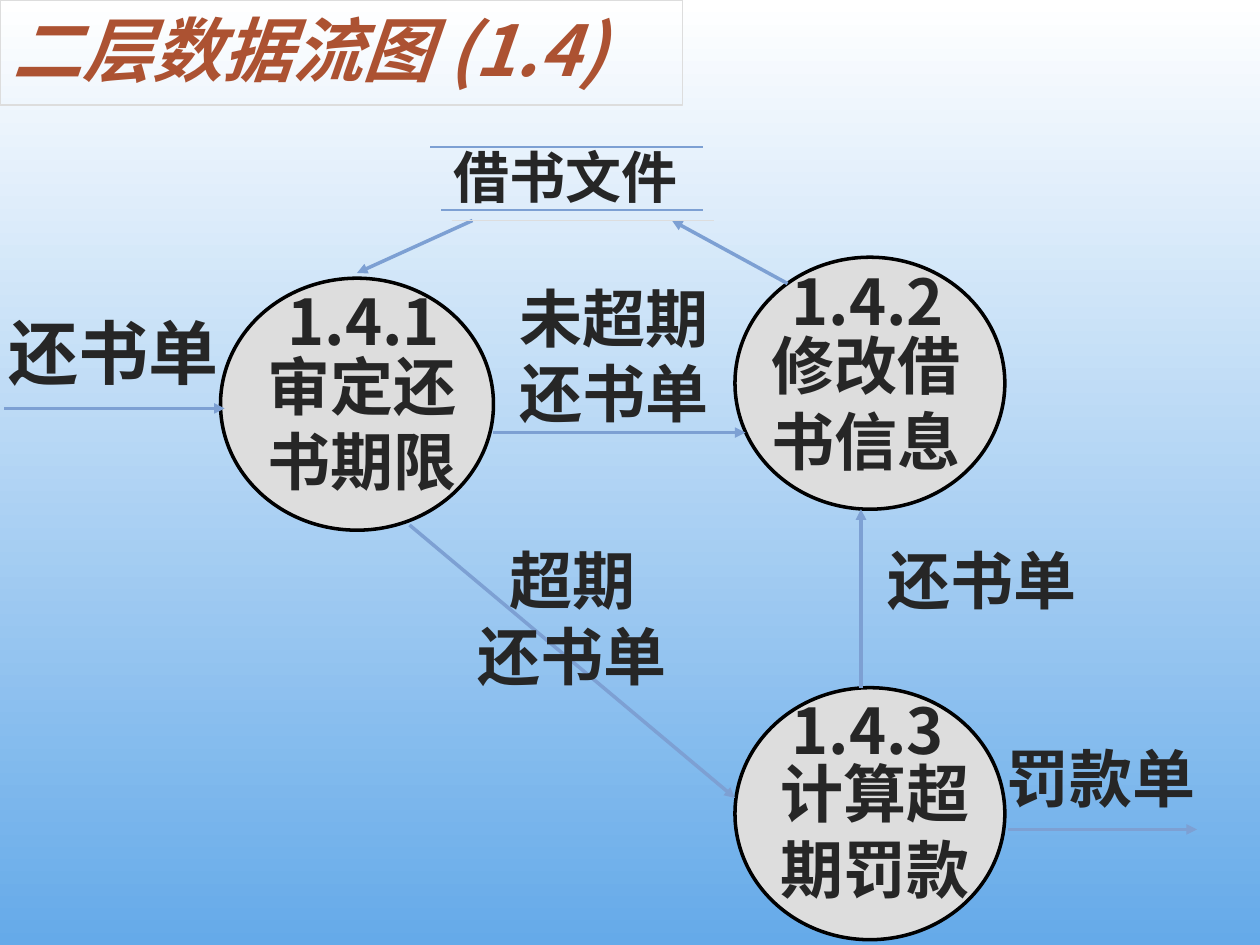
"""Build the second-level data flow diagram for returning books."""
from dataclasses import dataclass

from lxml.etree import SubElement
from pptx import Presentation
from pptx.dml.color import RGBColor as Color
from pptx.enum.shapes import MSO_CONNECTOR as Connector, MSO_SHAPE as Shape
from pptx.enum.text import MSO_ANCHOR as Anchor, MSO_AUTO_SIZE as AutoSize, PP_ALIGN as Align
from pptx.oxml.ns import qn
from pptx.util import Inches, Pt


@dataclass(frozen=True)
class Theme:
    font: str = "Noto Sans CJK SC"
    title: Color = Color.from_string("AC5232")
    text: Color = Color.from_string("262626")
    flow: Color = Color.from_string("7DA0D3")
    gray: Color = Color.from_string("DDDDDD")
    outline: Color = Color.from_string("000000")
    sky: tuple = (Color.from_string("FFFFFF"), Color.from_string("65AAE9"))
    large: int = 40
    medium: int = 36
    small: int = 32
    leading: float = 1.2


theme = Theme()
deck = Presentation()
deck.slide_width, deck.slide_height = Inches(10), Inches(7.5)
column, row = deck.slide_width / 120, deck.slide_height / 90
page = deck.slides.add_slide(deck.slide_layouts[5])

backdrop = page.background.fill
backdrop.gradient()
backdrop.gradient_angle = 270
for stop, color in zip(backdrop.gradient_stops, theme.sky):
    stop.color.rgb = color


def write(box, lines, size, color, align=Align.LEFT, wrap=True, italic=False):
    """Fill a box with bold paragraphs."""
    frame = box.text_frame
    frame.word_wrap = wrap
    frame.auto_size = AutoSize.SHAPE_TO_FIT_TEXT
    frame.vertical_anchor = Anchor.TOP
    for index, line in enumerate(lines):
        para = frame.add_paragraph() if index else frame.paragraphs[0]
        para.alignment = align
        para.line_spacing = Pt(size * theme.leading)
        para.space_before = Pt(0)
        span = para.add_run()
        span.text = line
        span.font.name, span.font.size = theme.font, Pt(size)
        span.font.bold, span.font.italic = True, italic
        span.font.color.rgb = color
        SubElement(span.font._element, qn("a:ea"), typeface=theme.font)


def draw_line(start, end, width, arrow=False):
    """Draw a straight line between grid points and return its effect list."""
    line = page.shapes.add_connector(
        Connector.STRAIGHT,
        int(start[0] * column), int(start[1] * row),
        int(end[0] * column), int(end[1] * row))
    line.line.color.rgb = theme.flow
    line.line.width = Pt(width)
    if arrow:
        SubElement(line.line._get_or_add_ln(), qn("a:tailEnd"), type="triangle")
    return SubElement(line._element.spPr, qn("a:effectLst"))


title = page.shapes.title
title.left, title.top = 0, 0
title.width, title.height = int(65 * column), int(9.4 * row)
title.line.color.rgb = theme.gray
title.line.width = Pt(0.75)
write(title, ["二层数据流图 (1.4)"], theme.large, theme.title, italic=True)

for left, top, width in [(21, 26.5, 26), (70, 24.5, 25.7), (70, 65.5, 25.7)]:
    process = page.shapes.add_shape(
        Shape.OVAL, int(left * column), int(top * row), int(width * column), int(24 * row))
    process.shadow.inherit = False
    process.fill.solid()
    process.fill.fore_color.rgb = theme.gray
    process.line.color.rgb = theme.outline
    process.line.width = Pt(2)

flows = [
    ((47, 41.2), (71, 41.2)),
    ((82, 65.5), (82, 48.5)),
    ((0.4, 38.9), (21.4, 38.9)),
    ((39, 50), (70, 76)),
    ((45, 21), (34, 26)),
    ((75, 27), (64, 21)),
    ((96, 79), (114, 79)),
]
for start, end in flows:
    draw_line(start, end, 2, arrow=True)

draw_line((41, 14), (67, 14), 1)
store_effects = draw_line((42, 20), (67, 20), 1)
shadow = SubElement(store_effects, qn("a:outerShdw"), dist=str(Pt(8.5)), dir="2700000")
SubElement(shadow, qn("a:srgbClr"), val=str(theme.gray))

labels = [
    (22, 32.5, 25, 15.6, ["审定还书期限"], theme.medium, Align.CENTER, True),
    (72, 30.5, 21, 15.6, ["修改借书信息 "], theme.medium, Align.CENTER, True),
    (72.8, 71.3, 21, 15.6, ["计算超期罚款"], theme.medium, Align.CENTER, True),
    (26.2, 26.3, 17.5, 8.4, ["1.4.1"], theme.medium, Align.LEFT, False),
    (74.2, 24.4, 17.5, 8.4, ["1.4.2"], theme.medium, Align.LEFT, False),
    (74.2, 65.3, 17.5, 8.4, ["1.4.3"], theme.medium, Align.LEFT, False),
    (-0.4, 28.9, 26, 9.2, ["还书单"], theme.large, Align.LEFT, True),
    (42, 13, 24.1, 7.7, ["借书文件"], theme.small, Align.LEFT, False),
    (47, 26, 23, 15.6, ["未超期", "还书单"], theme.medium, Align.CENTER, True),
    (43, 51, 23, 15.6, ["超期", "还书单"], theme.medium, Align.CENTER, True),
    (82, 51, 23, 8.4, ["还书单"], theme.medium, Align.CENTER, True),
    (93.4, 69.8, 23, 8.4, ["罚款单"], theme.medium, Align.CENTER, True),
]
for left, top, width, height, lines, size, align, wrap in labels:
    label = page.shapes.add_textbox(
        int(left * column), int(top * row), int(width * column), int(height * row))
    write(label, lines, size, theme.text, align, wrap)

deck.save("out.pptx")
